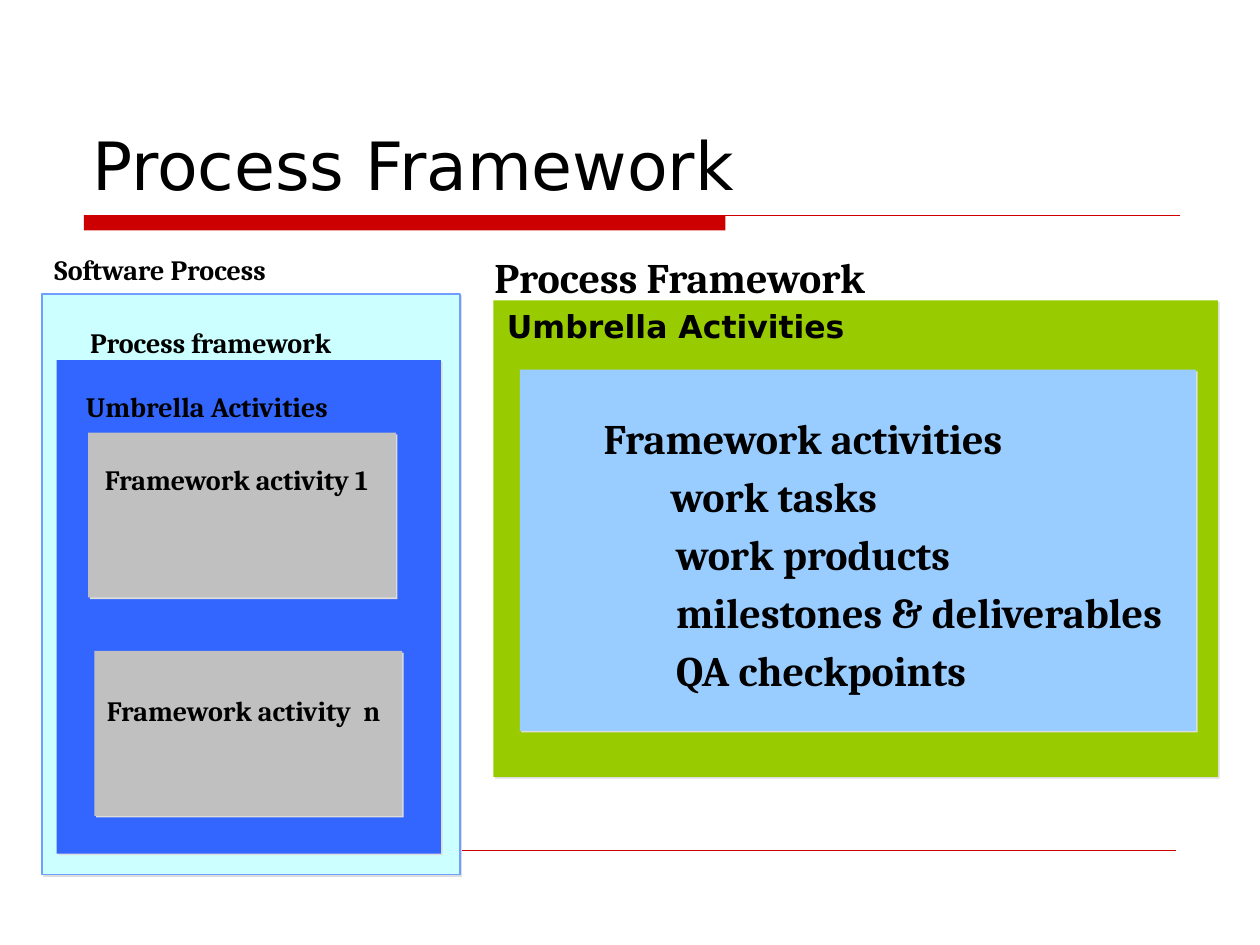
from lxml import etree
from pptx import Presentation
from pptx.dml.color import RGBColor
from pptx.enum.shapes import MSO_CONNECTOR, MSO_SHAPE
from pptx.enum.text import MSO_ANCHOR
from pptx.oxml.ns import qn
from pptx.util import Inches, Pt

RECTANGLE = MSO_SHAPE.RECTANGLE
STRAIGHT = MSO_CONNECTOR.STRAIGHT
TOP, MIDDLE, BOTTOM = MSO_ANCHOR.TOP, MSO_ANCHOR.MIDDLE, MSO_ANCHOR.BOTTOM

BLACK = RGBColor(0x00, 0x00, 0x00)
RED = RGBColor(0xCC, 0x00, 0x00)
PALE_CYAN = RGBColor(0xCC, 0xFF, 0xFF)
OUTLINE_BLUE = RGBColor(0x70, 0xA0, 0xFF)
BLUE = RGBColor(0x33, 0x66, 0xFF)
GRAY = RGBColor(0xC0, 0xC0, 0xC0)
GREEN = RGBColor(0x99, 0xCC, 0x00)
SKY_BLUE = RGBColor(0x99, 0xCC, 0xFF)
SHADOW = "DDDDDD"

# The slide is a grid of 120 columns by 90 rows; boxes are (column, row, columns, rows).
COLUMNS, ROWS = 120, 90
CELL = Inches(10) // COLUMNS

TITLE = {"name": "DejaVu Sans", "size": Pt(38), "bold": False}
LABEL = {"name": "Cambria", "size": Pt(16), "bold": True}
HEADING = {**LABEL, "size": Pt(24)}
SUBHEADING = {"name": "DejaVu Sans", "size": Pt(18), "bold": True}


def cells(*counts):
    return [round(count * CELL) for count in counts]


def inside(box, column, row, columns, rows):
    """Return a box placed relative to the top left corner of another."""
    return box[0] + column, box[1] + row, columns, rows


def add_effects(shape):
    return etree.SubElement(shape._element.spPr, qn("a:effectLst"))


def add_block(slide, box, color, outline=None, shadow=True):
    shape = slide.shapes.add_shape(RECTANGLE, *cells(*box))
    shape.fill.solid()
    shape.fill.fore_color.rgb = color
    if outline is None:
        shape.line.fill.background()
    else:
        shape.line.color.rgb = outline
        shape.line.width = Pt(1)
    if shadow:
        cast = etree.SubElement(add_effects(shape), qn("a:outerShdw"),
                                dist=str(Pt(1.4)), dir="2700000", algn="ctr", rotWithShape="0")
        etree.SubElement(cast, qn("a:srgbClr"), val=SHADOW)
    else:
        shape.shadow.inherit = False
    return shape


def add_rule(slide, column, row, columns, width):
    rule = slide.shapes.add_connector(STRAIGHT, *cells(column, row, column + columns, row))
    rule.line.color.rgb = RED
    rule.line.width = Pt(width)
    add_effects(rule)


def add_text(slide, box, lines, anchor=TOP, spacing=1.15):
    """Write lines of (text, font format, indent in cells) in a text box."""
    frame = slide.shapes.add_textbox(*cells(*box)).text_frame
    frame.word_wrap = True
    frame.vertical_anchor = anchor
    for number, (text, font_format, indent) in enumerate(lines):
        paragraph = frame.add_paragraph() if number else frame.paragraphs[0]
        paragraph.line_spacing = spacing
        paragraph._p.get_or_add_pPr().set("marL", str(round(indent * CELL)))
        run = paragraph.add_run()
        run.text = text
        run.font.color.rgb = BLACK
        for name, value in font_format.items():
            setattr(run.font, name, value)


def add_title(slide, box):
    bar_row = box[1] + box[3] + 0.5
    add_block(slide, (box[0] + 0.4, bar_row, 61.1, 1.45), RED, shadow=False)
    add_rule(slide, box[0] + 0.4, bar_row, 104.4, 0.75)
    add_text(slide, box, [("Process Framework", TITLE, 0)], BOTTOM, 1)


def add_software_process(slide, box):
    add_block(slide, box, PALE_CYAN, OUTLINE_BLUE)
    add_block(slide, inside(box, 1.4, 6.3, 36.6, 47), BLUE)
    for column, row in ((4.4, 13.2), (5, 34)):
        add_block(slide, inside(box, column, row, 29.3, 15.7), GRAY)
    labels = (
        ("Software Process", 0, -5),
        ("Process framework", 3.4, 1.9),
        ("Umbrella Activities", 3, 8),
        ("Framework activity 1", 4.8, 15),
        ("Framework activity  n", 5, 37),
    )
    for text, column, row in labels:
        add_text(slide, inside(box, column, row, 31.8, 4.8), [(text, LABEL, 0)])


def add_framework_detail(slide, box):
    add_block(slide, box, GREEN)
    activities = inside(box, 2.5, 6.6, 64.4, 34.4)
    add_block(slide, activities, SKY_BLUE)
    add_text(slide, activities, [
        ("Framework activities", HEADING, 6.8),
        ("work tasks", HEADING, 13.2),
        ("work products", HEADING, 13.7),
        ("milestones & deliverables", HEADING, 13.7),
        ("QA checkpoints", HEADING, 13.7),
    ], MIDDLE)
    add_text(slide, inside(box, -2, -6, 71, 10.8), [
        ("Process Framework", HEADING, 0.9),
        ("Umbrella Activities", SUBHEADING, 2.1),
    ])


def main():
    presentation = Presentation()
    presentation.slide_width, presentation.slide_height = cells(COLUMNS, ROWS)
    slide = presentation.slides.add_slide(presentation.slide_layouts[6])
    add_rule(slide, 8, 81, 104, 0.25)
    add_title(slide, (7.6, 4, 105, 16))
    add_software_process(slide, (4, 28, 39.8, 55.3))
    add_framework_detail(slide, (47, 28.6, 69, 45.4))
    presentation.save("out.pptx")


if __name__ == "__main__":
    main()
